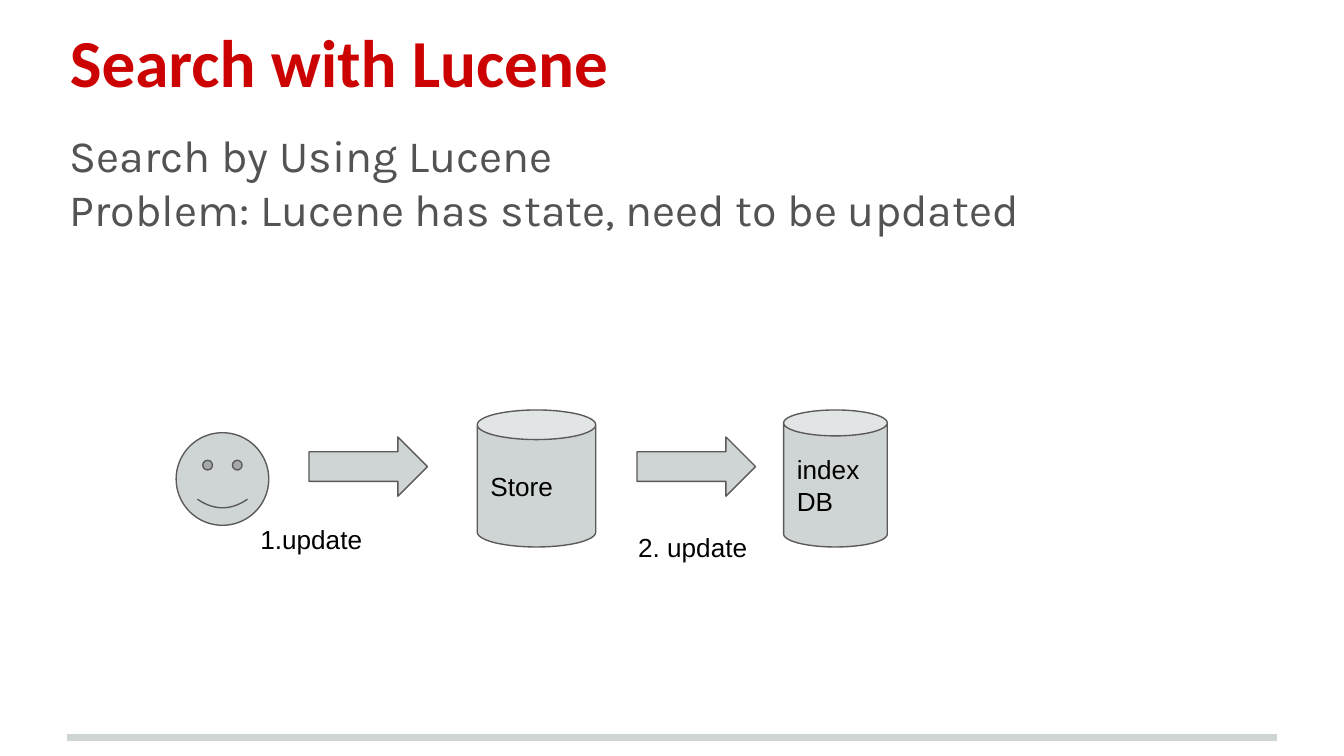
"""Build a slide showing how a search index is updated from a database."""
from dataclasses import dataclass

import pptx
import pptx.dml.color
import pptx.enum.shapes
import pptx.enum.text
import pptx.oxml
import pptx.oxml.ns
import pptx.util

Cm = pptx.util.Cm
Pt = pptx.util.Pt
RGB = pptx.dml.color.RGBColor
Anchor = pptx.enum.text.MSO_ANCHOR
Preset = pptx.enum.shapes.MSO_SHAPE


@dataclass(frozen=True)
class Style:
    font: str
    size: float
    color: RGB
    bold: bool = False


@dataclass(frozen=True)
class Theme:
    title: Style = Style("Calibri", 36, RGB(0xCC, 0x02, 0x02), True)
    body: Style = Style("Karla", 24, RGB(0x53, 0x53, 0x53))
    label: Style = Style("Arial", 14, RGB(0, 0, 0))
    fill: RGB = RGB(0xCF, 0xD4, 0xD4)
    outline: RGB = RGB(0x5B, 0x59, 0x5A)
    outline_width: float = 0.75
    rule_width: float = 4


@dataclass(frozen=True)
class Box:
    left: float
    top: float
    width: float
    height: float

    def lengths(self) -> tuple:
        return Cm(self.left), Cm(self.top), Cm(self.width), Cm(self.height)


@dataclass(frozen=True)
class Node:
    preset: Preset
    box: Box
    text: str = ""


@dataclass(frozen=True)
class Label:
    box: Box
    text: str


THEME = Theme()
CAN_TOP, CAN_HEIGHT = 7.75, 2.59
ARROW_TOP, ARROW_WIDTH, ARROW_HEIGHT = 8.26, 2.24, 1.12
LABEL_WIDTH, LABEL_HEIGHT = 4.09, 1.12

NODES = [
    Node(Preset.SMILEY_FACE, Box(3.33, 8.18, 1.75, 1.75)),
    Node(Preset.CAN, Box(9.02, CAN_TOP, 2.24, CAN_HEIGHT), "Store"),
    Node(Preset.CAN, Box(14.81, CAN_TOP, 1.96, CAN_HEIGHT), "indexDB"),
    *(Node(Preset.RIGHT_ARROW, Box(left, ARROW_TOP, ARROW_WIDTH, ARROW_HEIGHT))
      for left in (12.04, 5.84)),
]
LABELS = [
    Label(Box(4.67, 9.65, LABEL_WIDTH, LABEL_HEIGHT), "1.update"),
    Label(Box(11.81, 9.8, LABEL_WIDTH, LABEL_HEIGHT), "2. update"),
]


def write(sp, text: str, style: Style, anchor: Anchor = Anchor.TOP) -> None:
    tf = sp.text_frame
    tf.text = text
    tf.word_wrap = True
    tf.auto_size = pptx.enum.text.MSO_AUTO_SIZE.NONE
    tf.vertical_anchor = anchor
    tf.margin_left = tf.margin_right = tf.margin_top = tf.margin_bottom = Cm(0.25)
    for p in tf.paragraphs:
        p.alignment = pptx.enum.text.PP_ALIGN.LEFT
        for r in p.runs:
            r.font.name = style.font
            r.font.size = Pt(style.size)
            r.font.bold = style.bold
            r.font.color.rgb = style.color


def add_title(s, box: Box, text: str) -> None:
    sp = s.shapes.title
    sp.left, sp.top, sp.width, sp.height = box.lengths()
    write(sp, text, THEME.title, Anchor.BOTTOM)


def add_text(s, box: Box, text: str, style: Style) -> None:
    write(s.shapes.add_textbox(*box.lengths()), text, style)


def add_node(s, node: Node) -> None:
    sp = s.shapes.add_shape(node.preset, *node.box.lengths())
    sp.shadow.inherit = False
    sp.fill.solid()
    sp.fill.fore_color.rgb = THEME.fill
    sp.line.color.rgb = THEME.outline
    sp.line.width = Pt(THEME.outline_width)
    if node.text:
        write(sp, node.text, THEME.label, Anchor.MIDDLE)


def add_rule(s, left: float, right: float, y: float) -> None:
    line = s.shapes.add_connector(
        pptx.enum.shapes.MSO_CONNECTOR.STRAIGHT, Cm(left), Cm(y), Cm(right), Cm(y))
    line.line.color.rgb = THEME.fill
    line.line.width = Pt(THEME.rule_width)
    sp_pr = line._element.spPr
    sp_pr.append(sp_pr.makeelement(pptx.oxml.ns.qn("a:effectLst"), {}))


def build() -> None:
    prs = pptx.Presentation()
    prs.slide_width, prs.slide_height = Cm(25.4), Cm(14.29)
    s = prs.slides.add_slide(prs.slide_layouts[5])
    add_rule(s, 1.27, 24.13, 13.94)
    add_title(s, Box(1.07, 0.2, 22.45, 1.96), "Search with Lucene")
    add_text(s, Box(1.07, 2.16, 23.47, 10.67),
             "Search by Using Lucene\nProblem: Lucene has state, need to be updated",
             THEME.body)
    for node in NODES:
        add_node(s, node)
    for label in LABELS:
        add_text(s, label.box, label.text, THEME.label)
    prs.save("out.pptx")


build()
